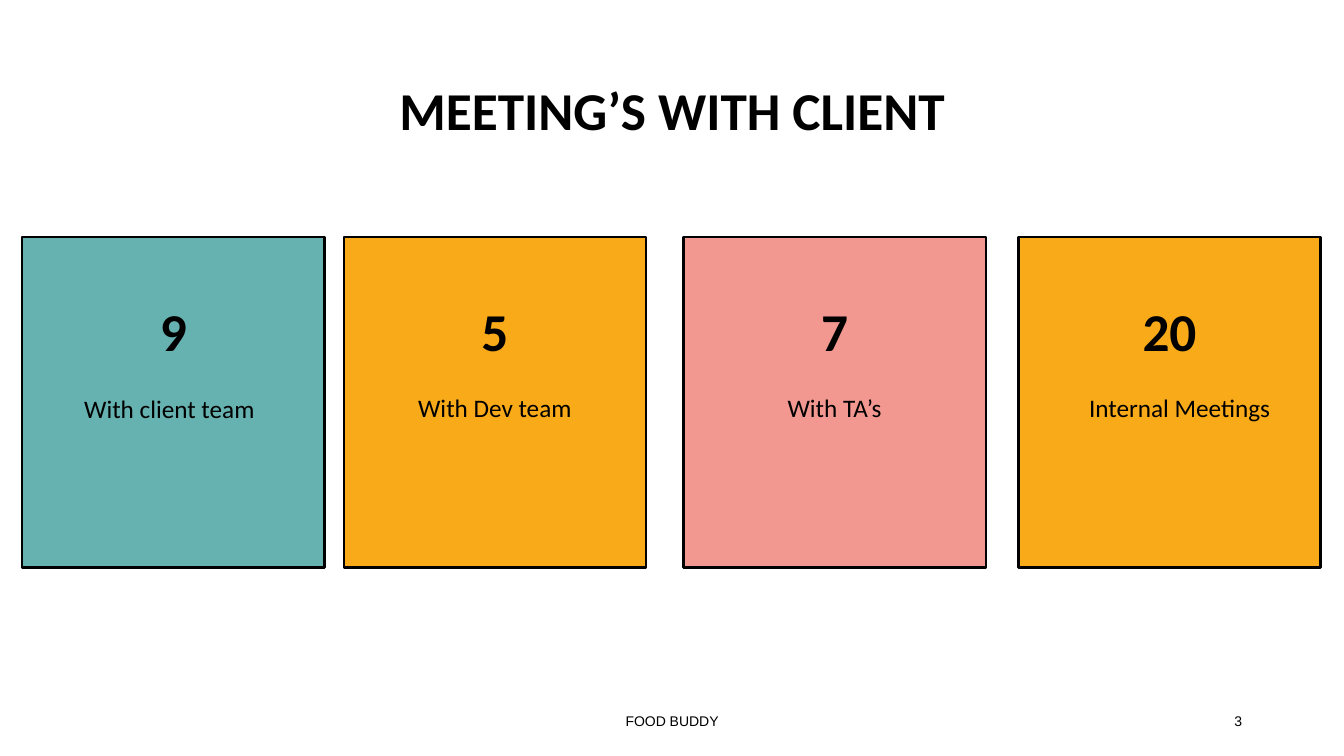
from pptx import Presentation
from pptx.dml.color import RGBColor
from pptx.enum.shapes import MSO_SHAPE
from pptx.enum.text import MSO_ANCHOR, PP_ALIGN
from pptx.util import Inches, Pt

RECTANGLE = MSO_SHAPE.RECTANGLE
TOP, MIDDLE = MSO_ANCHOR.TOP, MSO_ANCHOR.MIDDLE
CENTER, RIGHT = PP_ALIGN.CENTER, PP_ALIGN.RIGHT

BLACK = RGBColor(0x00, 0x00, 0x00)
TEAL = RGBColor(0x66, 0xB2, 0xB0)
AMBER = RGBColor(0xF9, 0xAA, 0x19)
PINK = RGBColor(0xF3, 0x98, 0x91)

SLIDE_WIDTH, SLIDE_HEIGHT = Inches(13.33), Inches(7.5)

# Places and sizes are percentages of the slide's width and height.
CARD_TOP, CARD_WIDTH, CARD_HEIGHT = 31.33, 22.5, 43.73
CAPTION_WIDTH, CAPTION_HEIGHT = 18.75, 10.67
FOOTER_TOP, FOOTER_HEIGHT = 92.67, 5.33

# count, caption, fill, card left, caption indent, caption top
MEETINGS = [
    ("9", "With client team", TEAL, 1.65, 1.58, 51.33),
    ("5", "With Dev team", AMBER, 25.58, 1.87, 51.2),
    ("7", "With TA’s", PINK, 50.86, 1.87, 51.2),
    ("20", "Internal Meetings", AMBER, 75.77, 2.63, 51.2),
]


def to_lengths(left, top, width, height):
    """Turn percentages of the slide into lengths."""
    return (int(SLIDE_WIDTH * left / 100), int(SLIDE_HEIGHT * top / 100),
            int(SLIDE_WIDTH * width / 100), int(SLIDE_HEIGHT * height / 100))


def write(frame, text, size, font="Calibri", bold=False, align=CENTER,
          anchor=TOP, spacing=1.0):
    frame.word_wrap = True
    frame.vertical_anchor = anchor
    paragraph = frame.paragraphs[0]
    paragraph.text = text
    paragraph.alignment = align
    paragraph.line_spacing = spacing
    paragraph.font.name = font
    paragraph.font.size = Pt(size)
    paragraph.font.bold = bold
    paragraph.font.color.rgb = BLACK


def add_label(slide, place, text, size, **style):
    label = slide.shapes.add_textbox(*to_lengths(*place))
    write(label.text_frame, text, size, **style)


def add_count_card(slide, left, count, fill):
    place = to_lengths(left, CARD_TOP, CARD_WIDTH, CARD_HEIGHT)
    card = slide.shapes.add_shape(RECTANGLE, *place)
    card.shadow.inherit = False
    card.fill.solid()
    card.fill.fore_color.rgb = fill
    card.line.color.rgb = BLACK
    card.line.width = Pt(1.75)
    frame = card.text_frame
    frame.margin_left = frame.margin_right = frame.margin_bottom = 0
    frame.margin_top = Inches(0.68)
    write(frame, count, 38, bold=True, spacing=0.9)


def add_footer(slide, left, width, text, align):
    add_label(slide, (left, FOOTER_TOP, width, FOOTER_HEIGHT), text, 10,
              font="Arial", align=align, anchor=MIDDLE)


def main():
    presentation = Presentation()
    presentation.slide_width = SLIDE_WIDTH
    presentation.slide_height = SLIDE_HEIGHT
    slide = presentation.slides.add_slide(presentation.slide_layouts[6])

    add_label(slide, (6.9, 5.33, 86.25, 19.33), "MEETING’S WITH CLIENT", 38,
              bold=True, anchor=MIDDLE, spacing=0.9)
    for count, caption, fill, left, indent, caption_top in MEETINGS:
        add_count_card(slide, left, count, fill)
        add_label(slide, (left + indent, caption_top, CAPTION_WIDTH,
                          CAPTION_HEIGHT), caption, 18)
    add_footer(slide, 33.13, 33.75, "FOOD BUDDY", CENTER)
    add_footer(slide, 70.65, 22.5, "3", RIGHT)

    presentation.save("out.pptx")


if __name__ == "__main__":
    main()
